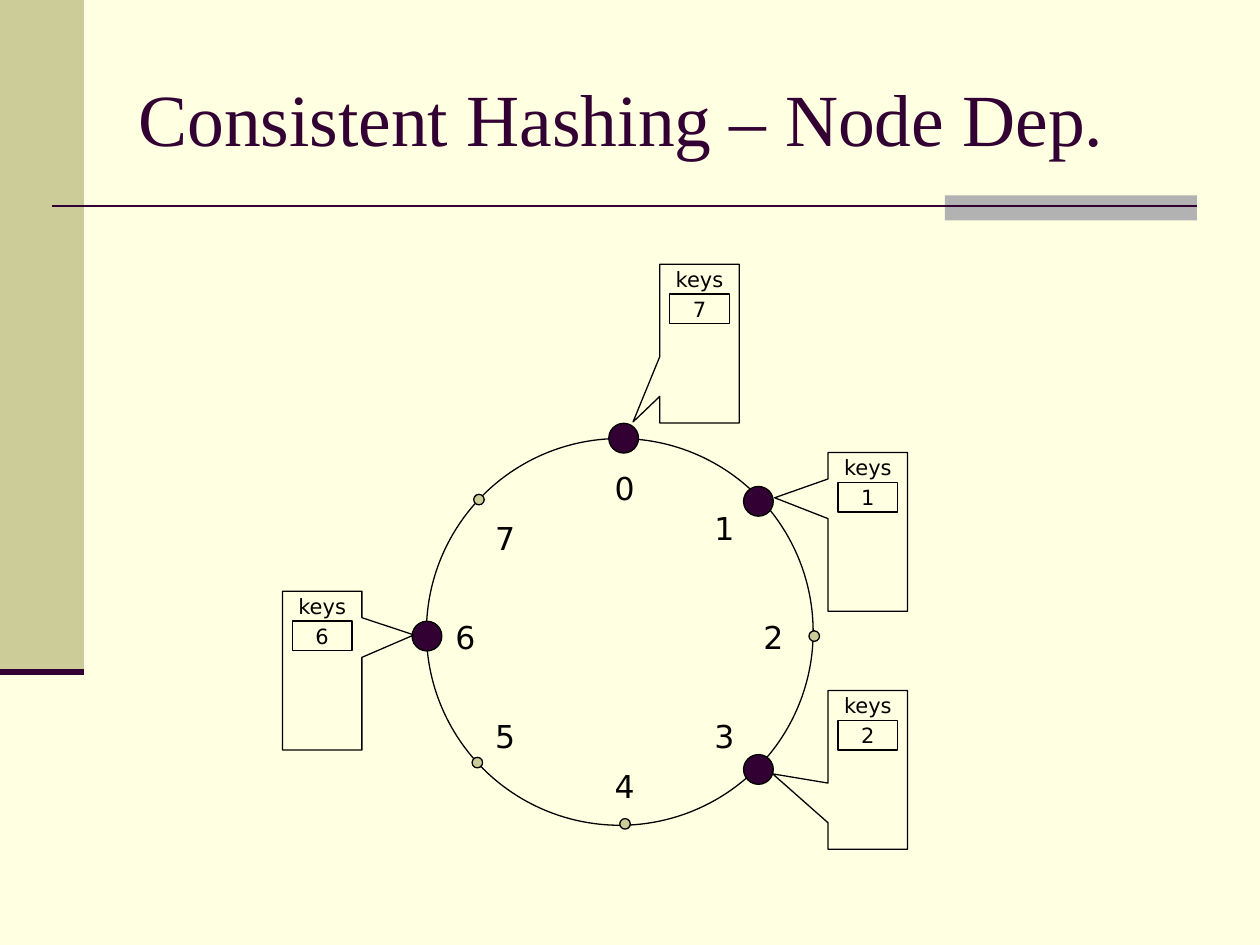
from dataclasses import dataclass
from typing import Optional

from lxml import etree
from pptx import Presentation
from pptx import util as u
from pptx.dml.color import RGBColor
from pptx.enum import shapes, text
from pptx.oxml.ns import qn


@dataclass(frozen=True)
class Theme:
    paper: str = "FFFFE1"
    olive: str = "CCCC99"
    grey: str = "B2B2B2"
    plum: str = "330033"
    ink: str = "000000"
    serif: str = "Times New Roman"
    sans: str = "DejaVu Sans"
    title: float = 42
    label: float = 18
    key: float = 12
    hairline: float = 0.75
    rule: float = 1.5
    heavy: float = 3.5


@dataclass(frozen=True)
class Box:
    x: float
    y: float
    w: float
    h: float

    def lengths(self) -> list:
        return [u.Pt(v) for v in (self.x, self.y, self.w, self.h)]


@dataclass(frozen=True)
class Callout:
    x: float
    y: float
    tip: tuple[float, float]
    key: str


@dataclass(frozen=True)
class Position:
    name: str
    x: float
    y: float
    label_x: float
    label_y: float
    callout: Optional[Callout] = None


T = Theme()
KIND = shapes.MSO_SHAPE
CALLOUT_W, CALLOUT_H = 45.4, 90.7
KEY_W, KEY_H = 34, 17
NODE, DOT = 17, 6

POSITIONS = [
    Position("0", 356.4, 250.4, 357, 279, Callout(377, 151, (-0.836, 0.494), "7")),
    Position("1", 433.4, 286.5, 414, 301.5, Callout(473.2, 258.6, (-1.172, -0.215), "1")),
    Position("2", 465.3, 363.5, 442, 364),
    Position("3", 433.4, 439.7, 414, 420.5, Callout(473.2, 394.6, (-1.197, 0.025), "2")),
    Position("4", 357.2, 470.8, 357, 449),
    Position("5", 272.8, 435.8, 288.7, 420.5),
    Position("6", 244, 363.5, 266, 364, Callout(161.4, 337.9, (1.156, -0.225), "6")),
    Position("7", 273.7, 285.5, 288.7, 307.3),
]


def rgb(value: str) -> RGBColor:
    return RGBColor.from_string(value)


def centred(x: float, y: float, w: float, h: float) -> Box:
    return Box(x - w / 2, y - h / 2, w, h)


def assign(target, values: dict) -> None:
    for name, value in values.items():
        setattr(target, name, value)


def add_shape(s, kind, box: Box, fill: Optional[str] = None, outlined: bool = True):
    sp = s.shapes.add_shape(kind, *box.lengths())
    sp.shadow.inherit = False
    if fill:
        sp.fill.solid()
        sp.fill.fore_color.rgb = rgb(fill)
    else:
        sp.fill.background()
    if outlined:
        sp.line.color.rgb = rgb(T.ink)
        sp.line.width = u.Pt(T.hairline)
    else:
        sp.line.fill.background()
    return sp


def write(sp, words: str, size: float, font: str = T.sans, colour: str = T.ink,
          align=text.PP_ALIGN.CENTER, wrap: bool = False, inset: float = 0) -> None:
    tf = sp.text_frame
    assign(tf, {
        "word_wrap": wrap,
        "vertical_anchor": text.MSO_ANCHOR.MIDDLE,
        "margin_left": u.Pt(inset),
        "margin_right": u.Pt(inset),
        "margin_top": u.Pt(0),
        "margin_bottom": u.Pt(0),
    })
    p = tf.paragraphs[0]
    p.alignment = align
    r = p.add_run()
    r.text = words
    assign(r.font, {"size": u.Pt(size), "name": font})
    r.font.color.rgb = rgb(colour)


def add_text(s, box: Box, words: str, size: float, **style) -> None:
    write(s.shapes.add_textbox(*box.lengths()), words, size, **style)


def add_rule(s, x1: float, x2: float, y: float, width: float) -> None:
    ends = [u.Pt(v) for v in (x1, y, x2, y)]
    line = s.shapes.add_connector(shapes.MSO_CONNECTOR.STRAIGHT, *ends)
    line.line.color.rgb = rgb(T.plum)
    line.line.width = u.Pt(width)
    etree.SubElement(line._element.spPr, qn("a:effectLst"))


def add_callout(s, c: Callout) -> None:
    sp = add_shape(s, KIND.RECTANGULAR_CALLOUT, Box(c.x, c.y, CALLOUT_W, CALLOUT_H))
    for i, value in enumerate(c.tip):
        sp.adjustments[i] = value
    left = c.x + (CALLOUT_W - KEY_W) / 2
    add_text(s, Box(left, c.y, KEY_W, KEY_H), "keys", T.key)
    key = add_shape(s, KIND.RECTANGLE, Box(left, c.y + KEY_H, KEY_W, KEY_H))
    write(key, c.key, T.key)


def add_position(s, pos: Position) -> None:
    size, fill = (NODE, T.plum) if pos.callout else (DOT, T.olive)
    add_shape(s, KIND.OVAL, centred(pos.x, pos.y, size, size), fill)
    add_text(s, centred(pos.label_x, pos.label_y, 23, 22), pos.name, T.label)
    if pos.callout:
        add_callout(s, pos.callout)


def add_frame(s) -> None:
    add_shape(s, KIND.RECTANGLE, Box(0, 0, 48, 384), T.olive, outlined=False)
    add_shape(s, KIND.RECTANGLE, Box(540, 111.6, 144, 14.4), T.grey, outlined=False)
    add_rule(s, 30, 684, 117.7, T.rule)
    add_rule(s, 0, 48, 384, T.heavy)


def main() -> None:
    prs = Presentation()
    assign(prs, {"slide_width": u.Pt(720), "slide_height": u.Pt(540)})
    s = prs.slides.add_slide(prs.slide_layouts[6])
    s.background.fill.solid()
    s.background.fill.fore_color.rgb = rgb(T.paper)

    add_frame(s)
    add_text(s, Box(72, 22, 612, 90), "Consistent Hashing – Node Dep.", T.title,
             font=T.serif, colour=T.plum, align=text.PP_ALIGN.LEFT, wrap=True, inset=7.2)
    add_shape(s, KIND.OVAL, centred(354.2, 361.1, 221, 221))
    for pos in POSITIONS:
        add_position(s, pos)

    prs.save("out.pptx")


if __name__ == "__main__":
    main()
